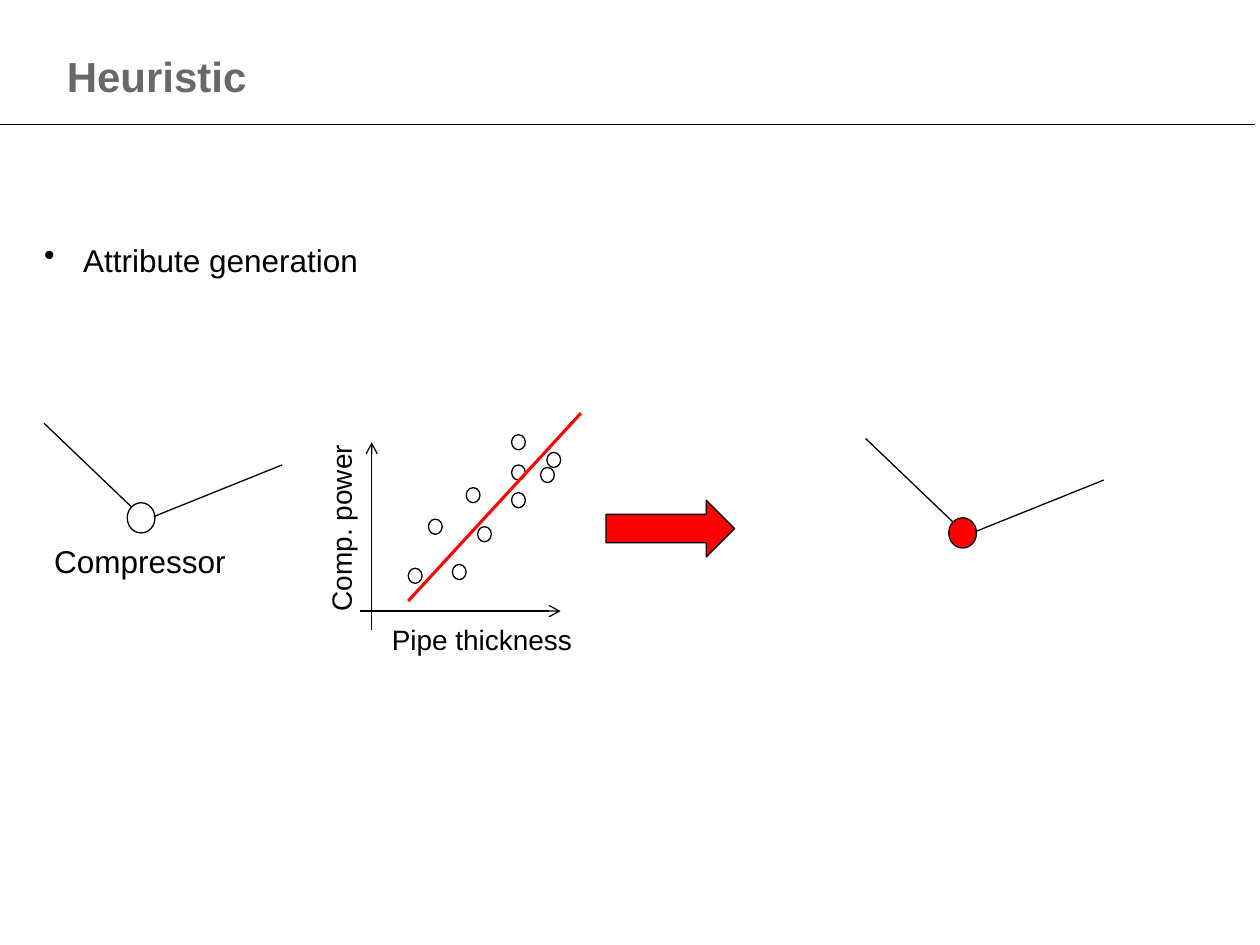
from pptx import Presentation
from pptx.dml.color import RGBColor
from pptx.enum.shapes import MSO_CONNECTOR as Link, MSO_SHAPE as Kind
from pptx.enum.text import MSO_ANCHOR as Anchor, MSO_AUTO_SIZE as Fit, PP_ALIGN as Align
from pptx.oxml.ns import qn
from pptx.util import Emu, Pt
from lxml.etree import SubElement

SCALE = 9144  # 100 px to the inch
BLACK, RED, GREY = "000000", "FF0000", "686868"


def px(n):
    return Emu(n * SCALE)


def color(code):
    return RGBColor.from_string(code)


class Painter:
    font = "Arial"
    thin = 0.75

    def __init__(self, slide):
        self.slide = slide
        self.shapes = slide.shapes

    def style(self, para, size, ink=BLACK, bold=False):
        font = para.font
        font.name, font.size, font.bold = self.font, Pt(size), bold
        font.color.rgb = color(ink)

    def clear(self, frame):
        frame.margin_left = frame.margin_right = 0
        frame.margin_top = frame.margin_bottom = 0
        frame.vertical_anchor = Anchor.TOP

    def title(self, text, x, y, w, h):
        box = self.shapes.title
        box.left, box.top, box.width, box.height = map(px, (x, y, w, h))
        frame = box.text_frame
        frame.text = text
        self.clear(frame)
        frame.margin_top = px(4)
        frame.word_wrap = True
        frame.auto_size = Fit.NONE
        para = frame.paragraphs[0]
        para.alignment = Align.LEFT
        self.style(para, 24, GREY, True)

    def text(self, text, x, y, w, h, size=18, turn=0, bullet=False):
        box = self.shapes.add_textbox(*map(px, (x, y, w, h)))
        box.rotation = turn
        frame = box.text_frame
        frame.text = text
        self.clear(frame)
        frame.word_wrap = False
        frame.auto_size = Fit.SHAPE_TO_FIT_TEXT
        para = frame.paragraphs[0]
        if bullet:
            props = para._p.get_or_add_pPr()
            props.set("marL", str(px(31)))
            props.set("indent", str(px(-31)))
            SubElement(props, qn("a:buChar")).set("char", "•")
        self.style(para, size)

    def shape(self, kind, x, y, w, h, fill=None):
        item = self.shapes.add_shape(kind, *map(px, (x, y, w, h)))
        item.shadow.inherit = False
        if fill:
            item.fill.solid()
            item.fill.fore_color.rgb = color(fill)
        else:
            item.fill.background()
        item.line.color.rgb = color(BLACK)
        item.line.width = Pt(self.thin)

    def line(self, x1, y1, x2, y2, ink=BLACK, width=thin, arrow=False):
        item = self.shapes.add_connector(Link.STRAIGHT, *map(px, (x1, y1, x2, y2)))
        item.line.color.rgb = color(ink)
        item.line.width = Pt(width)
        if arrow:
            SubElement(item.line._get_or_add_ln(), qn("a:tailEnd")).set("type", "arrow")
        SubElement(item._element.spPr, qn("a:effectLst"))

    def node(self, x, y, fill=None):
        """Draw a compressor with its two pipes."""
        self.shape(Kind.OVAL, x, y, 22, 24, fill)
        self.line(x - 66, y - 63, x + 3, y + 3)
        self.line(x + 123, y - 30, x + 21, y + 11)


def main():
    deck = Presentation()
    deck.slide_width, deck.slide_height = px(1000), px(750)
    art = Painter(deck.slides.add_slide(deck.slide_layouts[5]))

    art.title("Heuristic", 53, 36, 894, 55)
    art.line(-4, 99, 996, 99)
    art.text("Attribute generation", 35, 191, 252, 30, bullet=True)

    art.node(101, 399)
    art.text("Compressor", 43, 430, 137, 30)

    art.line(286, 485, 445, 485, arrow=True)
    art.line(295, 500, 295, 351, arrow=True)
    art.text("Pipe thickness", 311, 494, 144, 27, size=16)
    art.text("Comp. power", 204, 405, 133, 27, size=16, turn=270)
    dots = [(434, 359), (324, 451), (359, 448), (340, 412), (379, 418),
            (370, 387), (406, 391), (406, 369), (429, 371), (406, 345)]
    for x, y in dots:
        art.shape(Kind.OVAL, x, y, 11, 12)
    art.line(324, 477, 461, 328, RED, 1.75)

    art.shape(Kind.RIGHT_ARROW, 481, 397, 102, 45, RED)
    art.node(753, 411, RED)

    deck.save("out.pptx")


if __name__ == "__main__":
    main()
